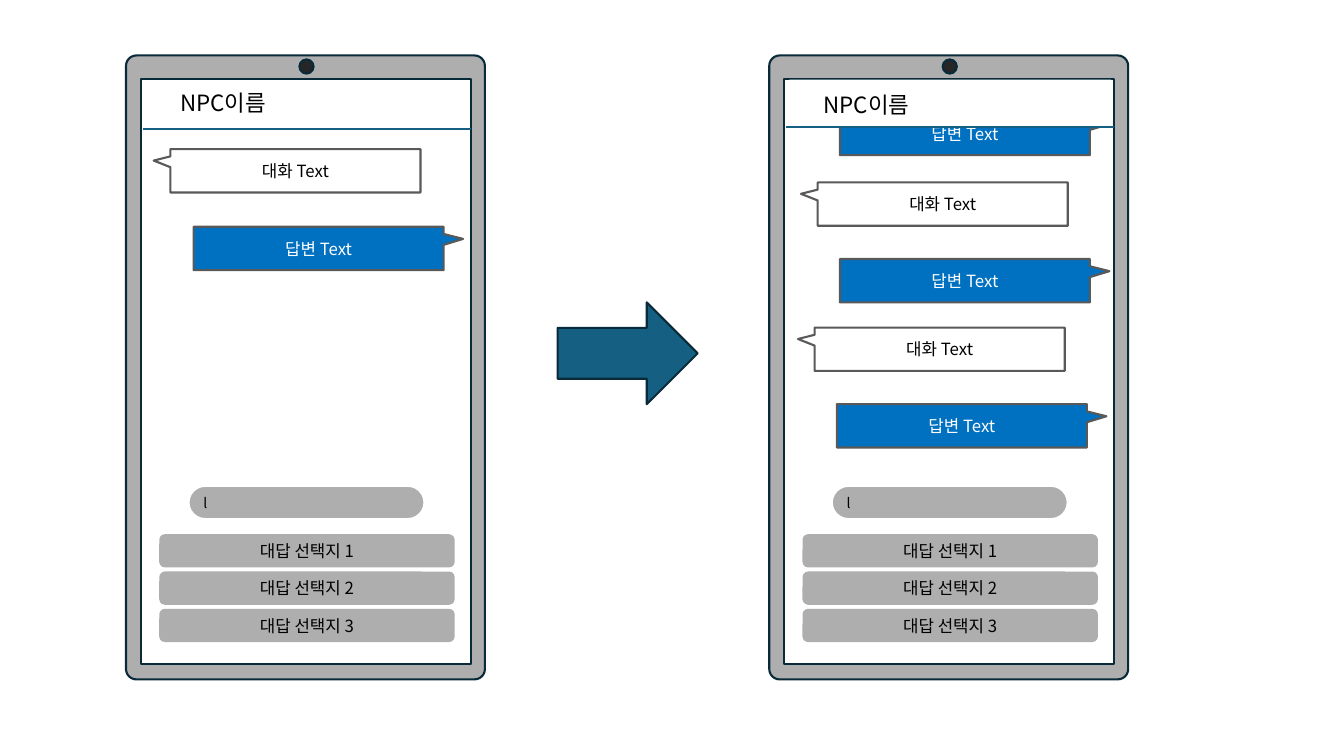
"""Build a slide with two phone mockups showing a chat before and after scrolling."""
from lxml.etree import SubElement
from pptx import Presentation
from pptx.dml.color import RGBColor
from pptx.enum.shapes import MSO_CONNECTOR, MSO_SHAPE
from pptx.enum.text import MSO_ANCHOR, MSO_AUTO_SIZE, PP_ALIGN
from pptx.oxml.ns import qn
from pptx.util import Inches, Pt

FONT = "Noto Sans CJK KR"
GREY, NAVY, TEAL, WHITE, BLACK = "AEAEAE", "092A39", "156082", "FFFFFF", "000000"
PHONE_LEFT, PHONE_STEP = 1.25, 6.38
CHOICE_TOP, CHOICE_STEP = 5.3, 0.37
BUBBLE_WIDTH, BUBBLE_HEIGHT = 2.48, 0.43


def write(box, text, size, color=BLACK, align=PP_ALIGN.CENTER):
    frame = box.text_frame
    for name, value in {"word_wrap": True, "vertical_anchor": MSO_ANCHOR.MIDDLE}.items():
        setattr(frame, name, value)
    para = frame.paragraphs[0]
    para.alignment = align
    span = para.add_run()
    span.text = text
    for name, value in {"size": Pt(size), "name": FONT}.items():
        setattr(span.font, name, value)
    span.font.color.rgb = RGBColor.from_string(color)
    SubElement(span.font._element, qn("a:ea"), typeface=FONT)


def draw(kind, left, top, width, height, fill, line=None, adjust=()):
    box = page.shapes.add_shape(kind, *map(Inches, (left, top, width, height)))
    box.shadow.inherit = False
    box.fill.solid()
    box.fill.fore_color.rgb = RGBColor.from_string(fill)
    if line:
        box.line.color.rgb = RGBColor.from_string(line)
        box.line.width = Pt(1.5)
    else:
        box.line.fill.background()
    for index, value in enumerate(adjust):
        box.adjustments[index] = value
    return box


deck = Presentation()
deck.slide_width, deck.slide_height = Inches(13.33), Inches(7.5)
page = deck.slides.add_slide(deck.slide_layouts[6])

bubble_styles = {
    "대화 Text": (WHITE, BLACK, (-0.567, -0.236)),
    "답변 Text": ("0070C0", WHITE, (0.578, -0.219)),
}
phones = [
    {"scrolled": False, "line_top": 1.28, "name_top": 0.83, "bubbles": [
        ("대화 Text", 0.44, 1.48), ("답변 Text", 0.67, 2.25)]},
    {"scrolled": True, "line_top": 1.26, "name_top": 0.85, "bubbles": [
        ("답변 Text", 0.7, 1.11), ("대화 Text", 0.48, 1.81), ("답변 Text", 0.7, 2.57),
        ("대화 Text", 0.45, 3.25), ("답변 Text", 0.67, 4.01)]},
]

for column, phone in enumerate(phones):
    left = PHONE_LEFT + column * PHONE_STEP
    draw(MSO_SHAPE.ROUNDED_RECTANGLE, left, 0.55, 3.56, 6.19, GREY, NAVY, (0.029,))
    draw(MSO_SHAPE.OVAL, left + 1.72, 0.59, 0.14, 0.14, "262626", NAVY)
    draw(MSO_SHAPE.RECTANGLE, left + 0.15, 0.78, 3.27, 5.81, WHITE, NAVY)

    for text, indent, top in phone["bubbles"]:
        fill, color, tail = bubble_styles[text]
        bubble = draw(MSO_SHAPE.RECTANGULAR_CALLOUT, left + indent, top,
                      BUBBLE_WIDTH, BUBBLE_HEIGHT, fill, "595959", tail)
        write(bubble, text, 12, color)

    entry = draw(MSO_SHAPE.ROUNDED_RECTANGLE, left + 0.62, 4.82, 2.34, 0.33, GREY, WHITE, (0.5,))
    write(entry, "l", 10, align=PP_ALIGN.LEFT)

    for row in range(3):
        choice = draw(MSO_SHAPE.ROUNDED_RECTANGLE, left + 0.33,
                      CHOICE_TOP + row * CHOICE_STEP, 2.93, 0.33, GREY)
        write(choice, f"대답 선택지 {row + 1}", 12)

    line_top = Inches(phone["line_top"])
    divider = page.shapes.add_connector(
        MSO_CONNECTOR.STRAIGHT, Inches(left + 0.17), line_top, Inches(left + 3.42), line_top)
    divider.line.color.rgb = RGBColor.from_string(TEAL)
    divider.line.width = Pt(1.5)
    SubElement(divider._element.spPr, qn("a:effectLst"))

    if phone["scrolled"]:
        draw(MSO_SHAPE.RECTANGLE, left + 0.2, 0.79, 3.19, 0.46, WHITE)
    name_box = page.shapes.add_textbox(
        *map(Inches, (left + 0.44, phone["name_top"], 1.85, 0.37)))
    write(name_box, "NPC이름", 16, align=PP_ALIGN.LEFT)
    name_box.text_frame.auto_size = MSO_AUTO_SIZE.SHAPE_TO_FIT_TEXT

draw(MSO_SHAPE.RIGHT_ARROW, 5.53, 3, 1.39, 1.01, TEAL, NAVY)

deck.save("out.pptx")
